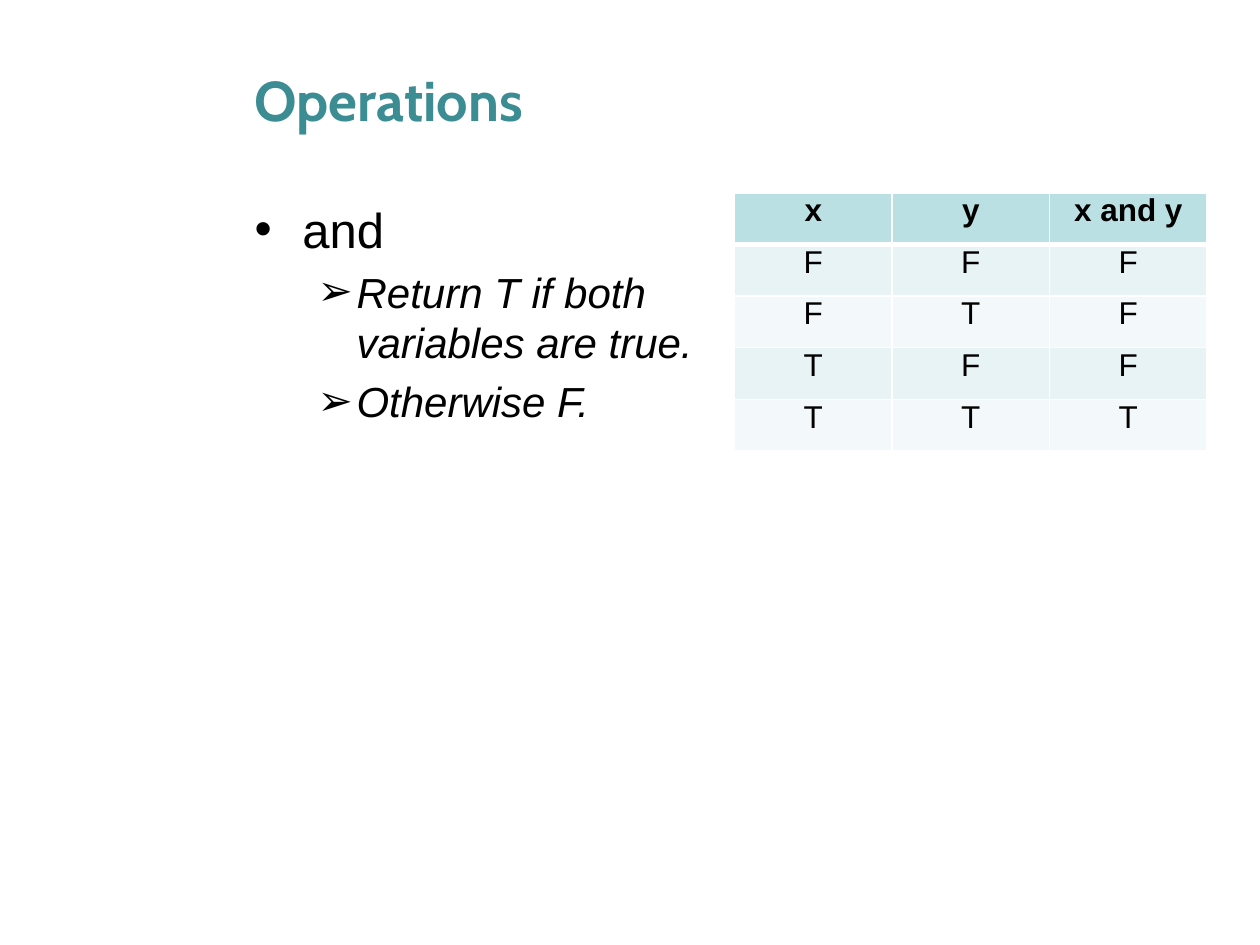
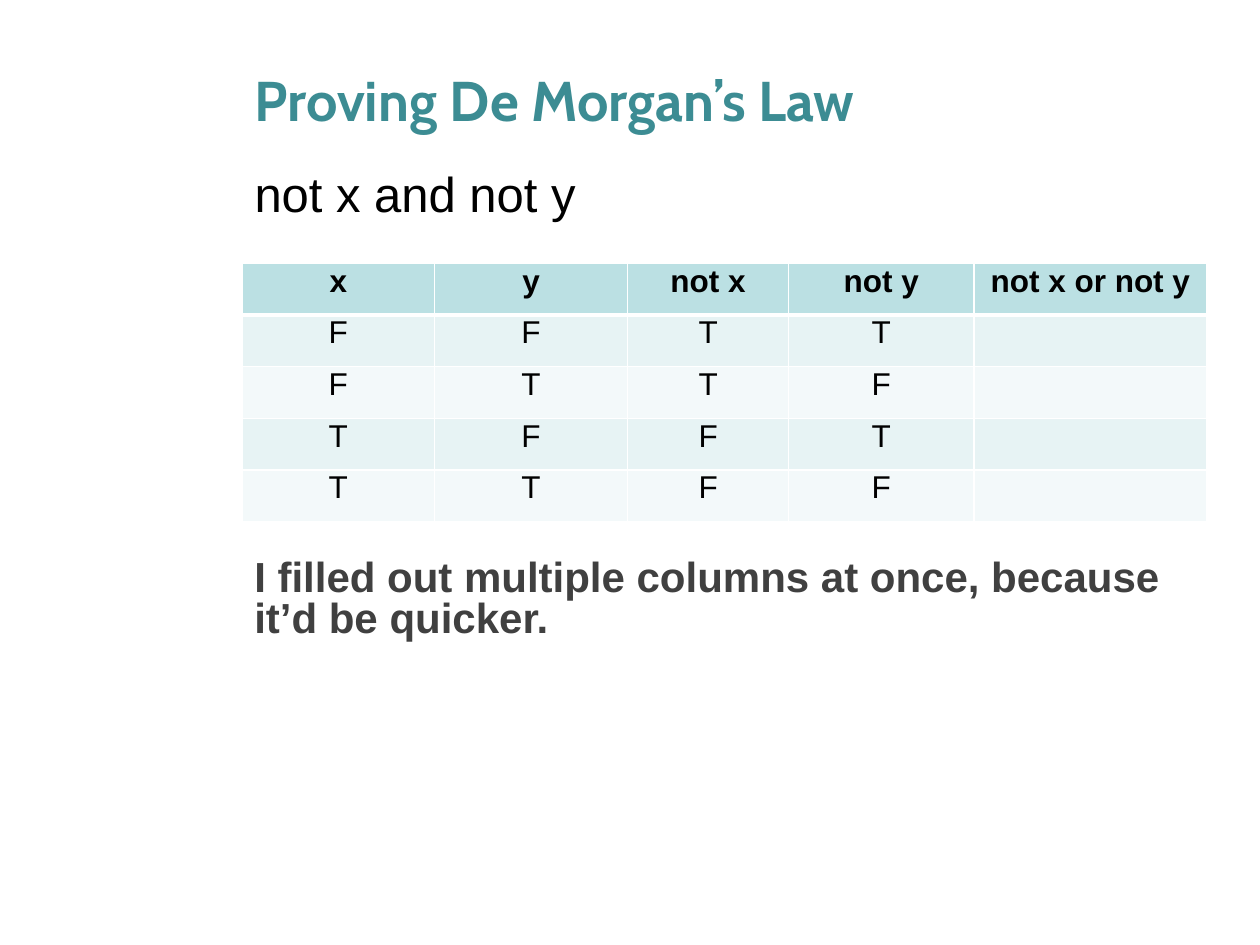
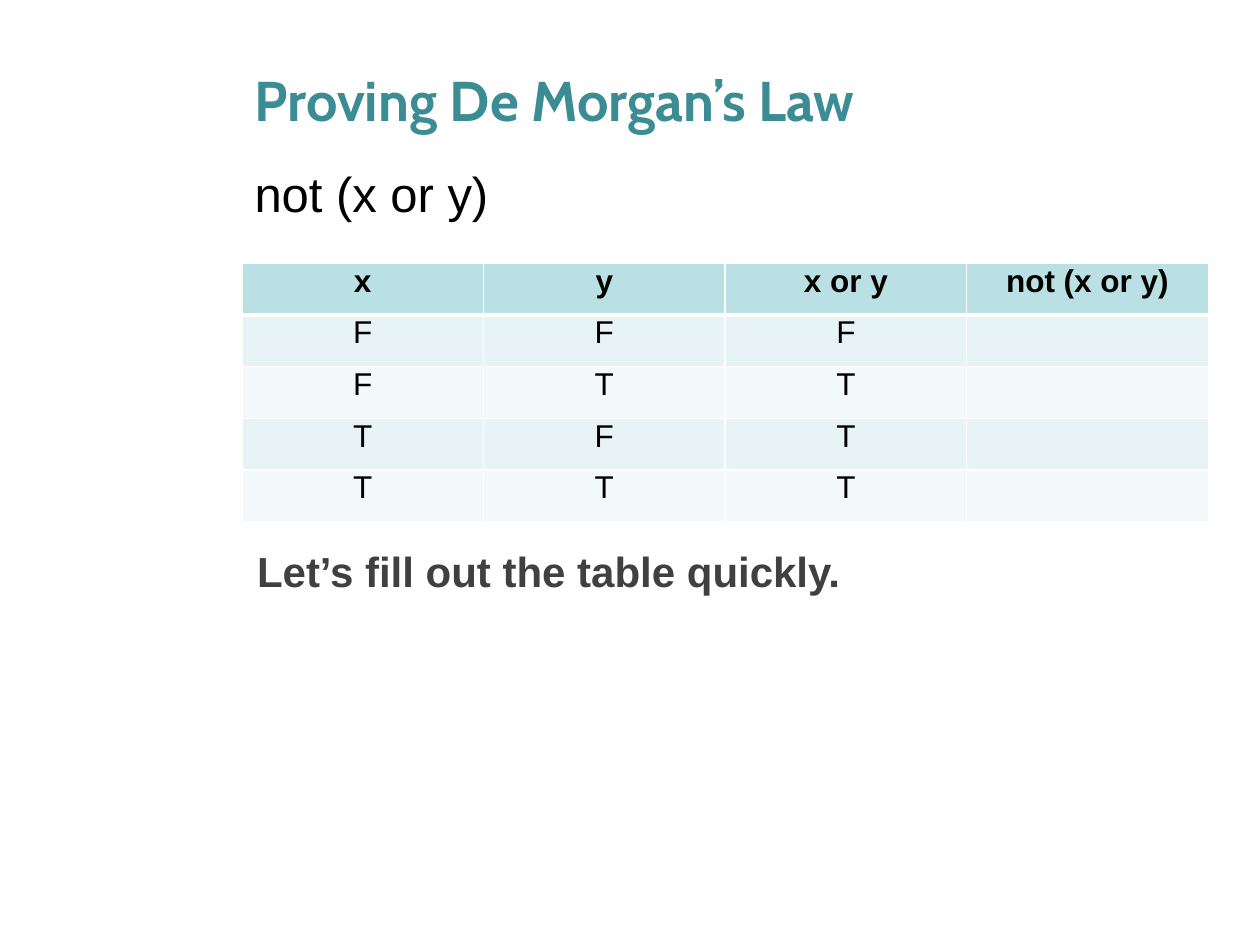
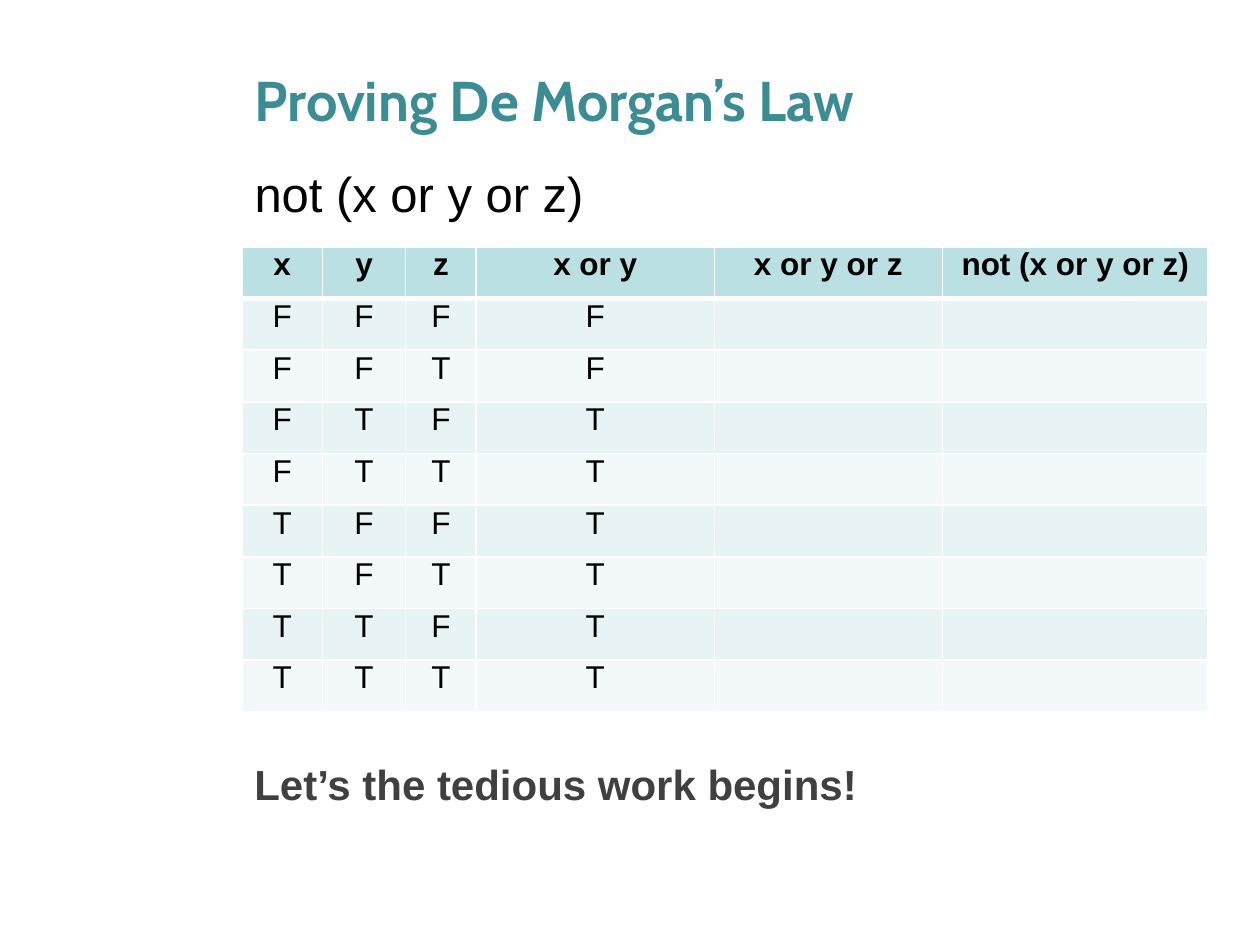
from lxml.etree import SubElement
from pptx import Presentation
from pptx.dml.color import RGBColor
from pptx.enum.text import MSO_ANCHOR, MSO_AUTO_SIZE, PP_ALIGN
from pptx.oxml.ns import qn
from pptx.util import Inches, Pt

COLORS = {
    "title": "3C8C93",
    "text": "000000",
    "note": "404040",
    "header": "BBE0E3",
    "odd_row": "E7F3F4",
    "even_row": "F3F9FA",
    "border": "FFFFFF",
}
TITLE_FONT = "Cabin"
TEXT_FONT = "Arial"

LEFT = 1.92
WIDTH = 7.67
ROW_HEIGHT = 0.41
TITLE_BOX = (LEFT, 0.33, WIDTH, 0.92)
EXPRESSION_BOX = (LEFT, 1.25, WIDTH, 0.71)
OPERATION_BOX = (LEFT, 1.53, 3.75, 5)

LEVELS = {
    "expression": {"level": 0, "size": 28, "italic": False, "before": 50,
                   "margin": 0, "hanging": 0, "bullet": None},
    "operation": {"level": 0, "size": 28, "italic": False, "before": 50,
                  "margin": 0.38, "hanging": 0.38, "bullet": "•"},
    "detail": {"level": 1, "size": 24, "italic": True, "before": 20,
               "margin": 0.81, "hanging": 0.31, "bullet": "➢"},
}

SLIDES = [
    {
        "title": "Operations",
        "body_box": OPERATION_BOX,
        "body": [
            ("operation", "and"),
            ("detail", "Return T if both variables are true."),
            ("detail", "Otherwise F."),
        ],
        "table_at": (5.83, 1.53),
        "columns": [("x", 1.25), ("y", 1.25), ("x and y", 1.25)],
        "rows": ["FFF", "FTF", "TFF", "TTT"],
    },
    {
        "title": "Proving De Morgan’s Law",
        "body_box": EXPRESSION_BOX,
        "body": [("expression", "not x and not y")],
        "table_at": (LEFT, 2.09),
        "columns": [("x", 1.53), ("y", 1.53), ("not x", 1.28),
                    ("not y", 1.47), ("not x or not y", 1.85)],
        "rows": ["FFTT", "FTTF", "TFFT", "TTFF"],
        "note": {
            "text": "I filled out multiple columns at once, because it’d be quicker.",
            "box": (LEFT, 4.4, 7.59, 0.75), "wrap": True, "align": PP_ALIGN.LEFT,
        },
    },
    {
        "title": "Proving De Morgan’s Law",
        "body_box": EXPRESSION_BOX,
        "body": [("expression", "not (x or y)")],
        "table_at": (LEFT, 2.09),
        "columns": [(name, WIDTH / 4) for name in ("x", "y", "x or y", "not (x or y)")],
        "rows": ["FFF", "FTT", "TFT", "TTT"],
        "note": {
            "text": "Let’s fill out the table quickly.",
            "box": (LEFT, 4.36, 4.87, 0.42), "wrap": False, "align": PP_ALIGN.CENTER,
        },
    },
    {
        "title": "Proving De Morgan’s Law",
        "body_box": EXPRESSION_BOX,
        "body": [("expression", "not (x or y or z)")],
        "table_at": (LEFT, 1.96),
        "columns": [("x", 0.64), ("y", 0.66), ("z", 0.56), ("x or y", 1.89),
                    ("x or y or z", 1.81), ("not (x or y or z)", 2.11)],
        "rows": ["FFFF", "FFTF", "FTFT", "FTTT", "TFFT", "TFTT", "TTFT", "TTTT"],
        "note": {
            "text": "Let’s the tedious work begins!",
            "box": (LEFT, 6.05, 5.03, 0.42), "wrap": False, "align": PP_ALIGN.LEFT,
        },
    },
]


def place(shape, box):
    shape.left, shape.top, shape.width, shape.height = map(Inches, box)


def format_runs(paragraph, size, color, font=TEXT_FONT, bold=False, italic=False):
    for run in paragraph.runs:
        run.font.name = font
        run.font.size = Pt(size)
        run.font.bold = bold
        run.font.italic = italic
        run.font.color.rgb = RGBColor.from_string(COLORS[color])


def set_space_before(paragraph, percent):
    paragraph.space_before = Pt(0)
    spacing = paragraph._p.pPr.find(qn("a:spcBef"))
    spacing.clear()
    SubElement(spacing, qn("a:spcPct"), val=str(percent * 1000))


def set_bullet(paragraph, bullet, margin, hanging):
    properties = paragraph._p.get_or_add_pPr()
    properties.set("marL", str(Inches(margin)))
    properties.set("indent", str(-Inches(hanging)))
    if bullet:
        SubElement(properties, qn("a:buChar"), char=bullet)
    else:
        SubElement(properties, qn("a:buNone"))


def set_borders(cell, bottom_width):
    properties = cell._tc.get_or_add_tcPr()
    for side, width in (("L", 1), ("R", 1), ("T", 1), ("B", bottom_width)):
        line = SubElement(properties, qn(f"a:ln{side}"), w=str(Pt(width)))
        fill = SubElement(line, qn("a:solidFill"))
        SubElement(fill, qn("a:srgbClr"), val=COLORS["border"])


def add_title(slide, text):
    title = slide.shapes.title
    place(title, TITLE_BOX)
    title.text_frame.text = text
    title.text_frame.vertical_anchor = MSO_ANCHOR.MIDDLE
    title.text_frame.auto_size = MSO_AUTO_SIZE.NONE
    paragraph = title.text_frame.paragraphs[0]
    paragraph.alignment = PP_ALIGN.LEFT
    format_runs(paragraph, 32, "title", font=TITLE_FONT, bold=True)


def add_body(slide, box, items):
    body = slide.placeholders[1]
    place(body, box)
    text_frame = body.text_frame
    text_frame.text = "\n".join(text for _, text in items)
    text_frame.auto_size = MSO_AUTO_SIZE.NONE
    for paragraph, (name, _) in zip(text_frame.paragraphs, items):
        style = LEVELS[name]
        paragraph.level = style["level"]
        set_space_before(paragraph, style["before"])
        set_bullet(paragraph, style["bullet"], style["margin"], style["hanging"])
        format_runs(paragraph, style["size"], "text", italic=style["italic"])


def add_truth_table(slide, position, columns, rows):
    left, top = position
    names = [name for name, _ in columns]
    widths = [width for _, width in columns]
    lines = [names, *rows]
    frame = slide.shapes.add_table(
        len(lines), len(columns), Inches(left), Inches(top),
        Inches(sum(widths)), Inches(ROW_HEIGHT * len(lines)))
    table = frame.table
    for column, width in zip(table.columns, widths):
        column.width = Inches(width)
    for row_index, line in enumerate(lines):
        is_header = row_index == 0
        fill = "header" if is_header else "odd_row" if row_index % 2 else "even_row"
        table.rows[row_index].height = Inches(ROW_HEIGHT)
        for column_index in range(len(columns)):
            cell = table.cell(row_index, column_index)
            set_borders(cell, 3 if is_header else 1)
            cell.fill.solid()
            cell.fill.fore_color.rgb = RGBColor.from_string(COLORS[fill])
            if column_index < len(line):
                cell.text_frame.text = line[column_index]
                paragraph = cell.text_frame.paragraphs[0]
                paragraph.alignment = PP_ALIGN.CENTER
                paragraph.line_spacing = 0.8
                set_space_before(paragraph, 20)
                format_runs(paragraph, 18, "text", bold=is_header)


def add_note(slide, text, box, wrap, align):
    text_frame = slide.shapes.add_textbox(*map(Inches, box)).text_frame
    text_frame.text = text
    text_frame.word_wrap = wrap
    text_frame.auto_size = MSO_AUTO_SIZE.SHAPE_TO_FIT_TEXT
    paragraph = text_frame.paragraphs[0]
    paragraph.alignment = align
    paragraph.line_spacing = 0.8
    set_space_before(paragraph, 20)
    format_runs(paragraph, 24, "note", bold=True)


def main():
    presentation = Presentation()
    presentation.slide_width = Inches(10)
    presentation.slide_height = Inches(7.5)
    for content in SLIDES:
        slide = presentation.slides.add_slide(presentation.slide_layouts[1])
        add_title(slide, content["title"])
        add_body(slide, content["body_box"], content["body"])
        add_truth_table(slide, content["table_at"], content["columns"], content["rows"])
        if "note" in content:
            add_note(slide, **content["note"])
    presentation.save("out.pptx")


if __name__ == "__main__":
    main()
